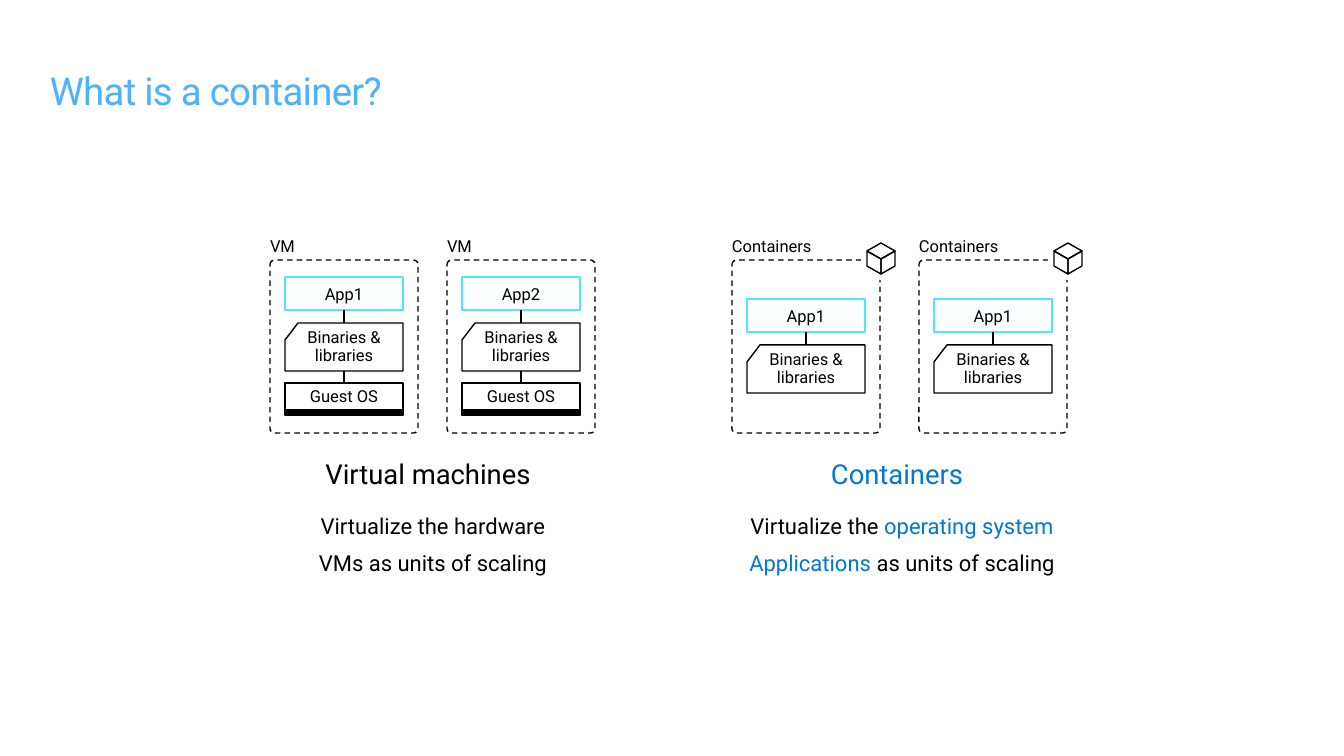
from lxml import etree
from pptx import Presentation
from pptx.dml.color import RGBColor
from pptx.enum.dml import MSO_LINE_DASH_STYLE as Dash
from pptx.enum.shapes import MSO_CONNECTOR as Connector, MSO_SHAPE as Shape
from pptx.enum.text import MSO_ANCHOR as Anchor, PP_ALIGN as Align
from pptx.oxml.ns import qn
from pptx.util import Pt

PX = 914400 / 100.8
BLACK, WHITE = "000000", "FFFFFF"
SKY, CYAN, BLUE = "4CB1FF", "50E6FF", "0078D4"


def emu(*lengths):
    return [round(length * PX) for length in lengths]


def paint(color_format, hex_color):
    color_format.rgb = RGBColor.from_string(hex_color)


def write(frame, runs, size=11.8, color=BLACK, align=Align.CENTER, anchor=Anchor.TOP,
          insets=(0, 0, 0, 0), line_spacing=None, after=0, tracking=None):
    """Fill a text frame; runs is a string or a list of (string, colour) pairs."""
    frame.word_wrap = True
    frame.vertical_anchor = anchor
    (frame.margin_left, frame.margin_top,
     frame.margin_right, frame.margin_bottom) = emu(*insets)
    paragraph = frame.paragraphs[0]
    paragraph.alignment = align
    paragraph.space_after = Pt(after)
    if line_spacing:
        paragraph.line_spacing = line_spacing
    for words, run_color in [(runs, color)] if isinstance(runs, str) else runs:
        run = paragraph.add_run()
        run.text = words
        run.font.name = "Roboto"
        run.font.size = Pt(size)
        paint(run.font.color, run_color)
        if tracking is not None:
            run.font._element.set("spc", str(tracking))


class Board:
    """Holds the slide and its line style."""

    def __init__(self, slide, line_width=1):
        self.shapes = slide.shapes
        self.line_width = Pt(line_width)

    def style(self, shape, fill, line, alpha=None, dash=None):
        shape.shadow.inherit = False
        if fill:
            shape.fill.solid()
            paint(shape.fill.fore_color, fill)
            if alpha is not None:
                color = shape.fill._xPr.find(".//" + qn("a:srgbClr"))
                etree.SubElement(color, qn("a:alpha")).set("val", str(alpha * 1000))
        else:
            shape.fill.background()
        if line:
            paint(shape.line.color, line)
            shape.line.width = self.line_width
            if dash:
                shape.line.dash_style = dash
        else:
            shape.line.fill.background()
        return shape

    def text(self, x, y, w, h, runs, **formatting):
        box = self.shapes.add_textbox(*emu(x, y, w, h))
        write(box.text_frame, runs, **formatting)

    def shape(self, kind, x, y, w, h, fill=None, line=BLACK, **look):
        return self.style(self.shapes.add_shape(kind, *emu(x, y, w, h)), fill, line, **look)

    def outline(self, *contours, fill=None):
        """Draw one freeform from closed contours given as lists of points."""
        builder = self.shapes.build_freeform(*contours[0][0], scale=PX)
        for number, points in enumerate(contours):
            if number:
                builder.move_to(*points[0])
            builder.add_line_segments(points[1:], close=True)
        self.style(builder.convert_to_shape(), fill, BLACK)

    def link(self, x, top, bottom, upper, lower=None):
        """Run a line down from one box, joined to the next when there is one."""
        line = self.shapes.add_connector(Connector.STRAIGHT, *emu(x, top, x, bottom))
        line.begin_connect(upper, 2)
        if lower is not None:
            line.end_connect(lower, 0)
        paint(line.line.color, BLACK)
        line.line.width = self.line_width
        etree.SubElement(line._element.spPr, qn("a:effectLst"))


def draw_cube(board, x):
    board.shape(Shape.OVAL, x, 239, 41, 41, fill=WHITE, line=None)
    left, middle, right = x + 6, x + 20, x + 34
    center = (middle, 259)
    board.outline(
        [(right, 251), (right, 266), (middle, 274), center],
        [(left, 251), center, (middle, 274), (left, 266)],
        [(middle, 243), (right, 251), center, (left, 251)])


def draw_stack(board, x, label, app_name, has_guest_os):
    """Draw one dashed unit with its app, libraries and either guest OS or cube."""
    frame = board.shape(Shape.ROUNDED_RECTANGLE, x, 260, 148, 173, dash=Dash.DASH)
    frame.adjustments[0] = 0.03
    board.text(x, 216, 99, 40, label, align=Align.LEFT, anchor=Anchor.BOTTOM)

    left, width = x + 15, 118
    right = left + width
    app_top = 277 if has_guest_os else 299
    library_top = app_top + 46
    library_bottom = library_top + 48
    caption = dict(line_spacing=0.9, after=5.9)

    app = board.shape(Shape.RECTANGLE, left, app_top, width, 33,
                      fill=CYAN, line=CYAN, alpha=2)
    write(app.text_frame, app_name, anchor=Anchor.MIDDLE)
    guest = None
    if has_guest_os:
        guest = board.shape(Shape.RECTANGLE, left, 383, width, 32)
        board.shape(Shape.RECTANGLE, left, 410, width, 5, fill=BLACK)
        board.text(left + 6, 388, 106, 18, "Guest OS", **caption)
    board.link(left + width // 2, app_top + 33, 383, app, guest)
    board.outline([(left, library_top + 17), (left + 13, library_top),
                   (right, library_top), (right, library_bottom),
                   (left, library_bottom)], fill=WHITE)
    board.text(left + 6, library_top + 6, 106, 36, "Binaries & libraries", **caption)
    if not has_guest_os:
        draw_cube(board, x + 129)


def draw_summary(board, x, heading, color, points):
    board.text(x, 451, 346, 49, heading, size=19.6, color=color,
               insets=(0, 10, 10, 10), line_spacing=0.9, after=5.9)
    for row, point in enumerate(points):
        board.text(x, 512 + 38 * row, 346, 26, point, size=15.7, after=5.9)


def main():
    deck = Presentation()
    deck.slide_width, deck.slide_height = emu(1344, 756)
    board = Board(deck.slides.add_slide(deck.slide_layouts[6]))

    board.text(50, 69, 1080, 44, "What is a container?", size=27.4, color=SKY,
               align=Align.LEFT, line_spacing=Pt(31.4), tracking=-50)
    for x, label, app_name, has_guest_os in [
            (270, "VM", "App1", True), (447, "VM", "App2", True),
            (732, "Containers", "App1", False), (919, "Containers", "App1", False)]:
        draw_stack(board, x, label, app_name, has_guest_os)
    draw_summary(board, 260, "Virtual machines", BLACK,
                 ["Virtualize the hardware", "VMs as units of scaling"])
    draw_summary(board, 729, "Containers", BLUE, [
        [("Virtualize the ", BLACK), ("operating system", BLUE)],
        [("Applications", BLUE), (" as units of scaling", BLACK)]])
    deck.save("out.pptx")


if __name__ == "__main__":
    main()
